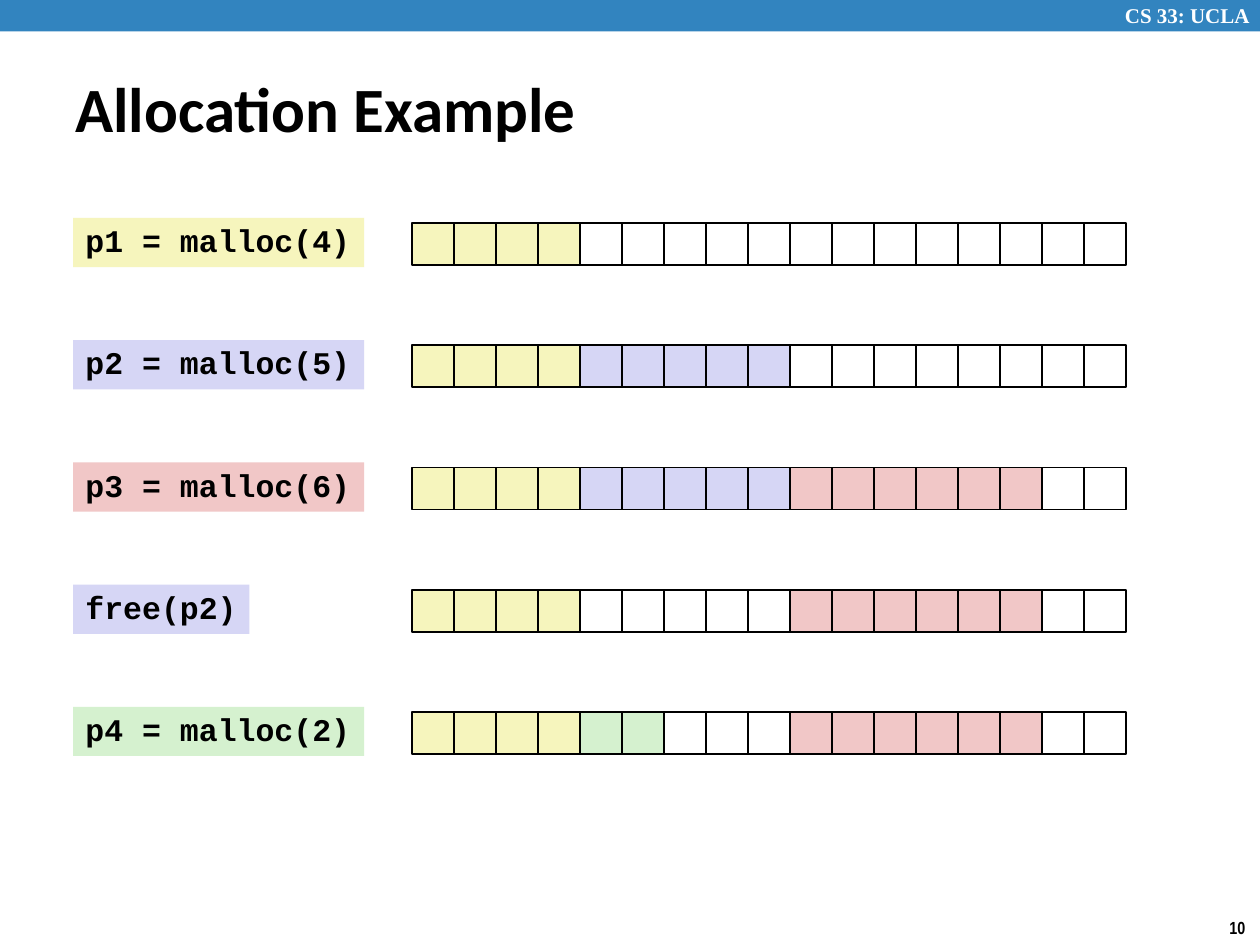
from dataclasses import dataclass

from pptx import Presentation
from pptx.dml.color import RGBColor
from pptx.enum.shapes import MSO_SHAPE
from pptx.enum.text import MSO_ANCHOR, PP_ALIGN
from pptx.util import Inches, Pt


@dataclass(frozen=True)
class Theme:
    banner: str = "3284BF"
    ink: str = "000000"
    free: str = "FFFFFF"
    p1: str = "F6F5BD"
    p2: str = "D6D6F5"
    p3: str = "F1C7C7"
    p4: str = "D5F1CF"
    title_size: int = 36
    code_size: int = 18
    course_size: int = 12
    number_size: int = 10


THEME = Theme()
CELL = 1 / 3
HEAP_LEFT, HEAP_TOP = 3.27, 1.77
LABEL_LEFT, LABEL_TOP = 0.58, 1.73
ROW_PITCH = 0.97

# Label, label colour, label width, and the heap as (colour, cell count) blocks
STEPS = [
    ("p1 = malloc(4)", THEME.p1, 2.31, [(THEME.p1, 4), (THEME.free, 13)]),
    ("p2 = malloc(5)", THEME.p2, 2.31,
     [(THEME.p1, 4), (THEME.p2, 5), (THEME.free, 8)]),
    ("p3 = malloc(6)", THEME.p3, 2.31,
     [(THEME.p1, 4), (THEME.p2, 5), (THEME.p3, 6), (THEME.free, 2)]),
    ("free(p2)", THEME.p2, 1.4,
     [(THEME.p1, 4), (THEME.free, 5), (THEME.p3, 6), (THEME.free, 2)]),
    ("p4 = malloc(2)", THEME.p4, 2.31,
     [(THEME.p1, 4), (THEME.p4, 2), (THEME.free, 3), (THEME.p3, 6),
      (THEME.free, 2)]),
]


def add_rectangle(shapes, left, top, width, height, fill, line=None):
    shape = shapes.add_shape(MSO_SHAPE.RECTANGLE, Inches(left), Inches(top),
                             Inches(width), Inches(height))
    shape.shadow.inherit = False
    shape.fill.solid()
    shape.fill.fore_color.rgb = RGBColor.from_string(fill)
    if line:
        shape.line.color.rgb = RGBColor.from_string(line)
        shape.line.width = Pt(1)
    else:
        shape.line.fill.background()
    return shape


def write_text(shape, text, font_name, size, color=THEME.ink,
               anchor=MSO_ANCHOR.TOP, wrap=False):
    """Fill a shape with one bold, left-aligned paragraph and return it."""
    frame = shape.text_frame
    frame.word_wrap = wrap
    frame.vertical_anchor = anchor
    paragraph = frame.paragraphs[0]
    paragraph.text = text
    paragraph.alignment = PP_ALIGN.LEFT
    paragraph.font.name = font_name
    paragraph.font.size = Pt(size)
    paragraph.font.bold = True
    paragraph.font.color.rgb = RGBColor.from_string(color)
    return paragraph


def add_text(slide, left, top, width, height, *text_style, **options):
    box = slide.shapes.add_textbox(Inches(left), Inches(top),
                                   Inches(width), Inches(height))
    write_text(box, *text_style, **options)


def add_code_label(slide, top, width, code, fill):
    label = add_rectangle(slide.shapes, LABEL_LEFT, top, width, 0.39, fill)
    paragraph = write_text(label, code, "Courier New", THEME.code_size)
    paragraph.line_spacing = 0.94


def add_heap(slide, top, blocks):
    """Draw the heap as one group of equal cells, coloured block by block."""
    group = slide.shapes.add_group_shape()
    colors = [color for color, count in blocks for _ in range(count)]
    for index, color in enumerate(colors):
        add_rectangle(group.shapes, HEAP_LEFT + index * CELL, top,
                      CELL, CELL, color, THEME.ink)


def main():
    presentation = Presentation()
    presentation.slide_width = Inches(10)
    presentation.slide_height = Inches(7.5)
    slide = presentation.slides.add_slide(presentation.slide_layouts[6])

    add_rectangle(slide.shapes, 0, 0, 10, 0.25, THEME.banner)
    add_text(slide, 8.83, -0.03, 1.24, 0.3, "CS 33: UCLA", "Times New Roman",
             THEME.course_size, THEME.free, wrap=True)
    add_text(slide, 9.66, 7.23, 0.34, 0.27, "10", "Arial Narrow",
             THEME.number_size)
    add_text(slide, 0.5, 0.54, 7.07, 0.63, "Allocation Example", "Calibri",
             THEME.title_size, anchor=MSO_ANCHOR.MIDDLE, wrap=True)

    for row, (code, color, width, blocks) in enumerate(STEPS):
        offset = row * ROW_PITCH
        add_heap(slide, HEAP_TOP + offset, blocks)
        add_code_label(slide, LABEL_TOP + offset, width, code, color)

    presentation.save("out.pptx")


if __name__ == "__main__":
    main()
